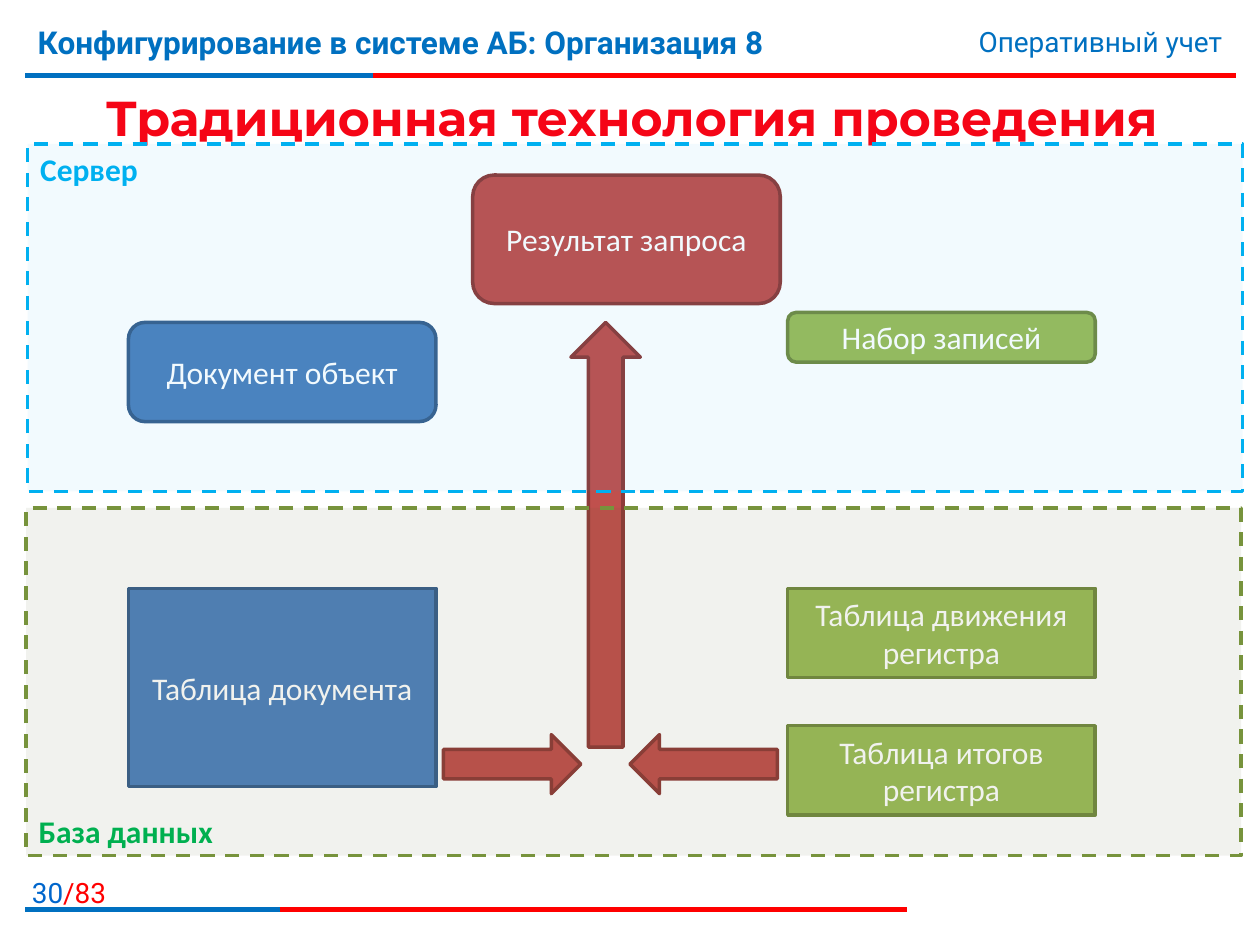
from pptx import Presentation
from pptx.dml.color import RGBColor
from pptx.enum import dml, shapes, text
from pptx.oxml import ns
from pptx.util import Cm, Pt
from lxml import etree

COLORS = {
    "blue": "0070C0", "page": "0066CC", "red": "FF0000", "title": "F50516",
    "white": "FFFFFF", "document": "4F81BD", "document_edge": "3A5F8C",
    "query": "C0504D", "query_edge": "8E3B39",
    "register": "9BBB59", "register_edge": "738A42",
    "server": "00B0F0", "server_edge": "00B0F0",
    "database": "4F6228", "database_edge": "77933C", "database_label": "00B050",
}
KIND = shapes.MSO_SHAPE
ALIGN = text.PP_ALIGN
ANCHOR = text.MSO_ANCHOR


def rgb(name):
    return RGBColor.from_string(COLORS[name])


def write(frame, runs, size, font, align, anchor, bold=False):
    frame.word_wrap = True
    frame.vertical_anchor = anchor
    paragraph = frame.paragraphs[0]
    paragraph.alignment = align
    paragraph.font.size = Pt(size)
    paragraph.font.name = font
    paragraph.font.bold = bold
    for words, color in runs:
        run = paragraph.add_run()
        run.text = words
        run.font.color.rgb = rgb(color)


deck = Presentation()
deck.slide_width, deck.slide_height = Cm(25.4), Cm(19.05)
slide = deck.slides.add_slide(deck.slide_layouts[6])

for y, red_end, blue_end in [(1.52, 24.92, 7.52), (18.34, 18.29, 5.64)]:
    for end, color in [(red_end, "red"), (blue_end, "blue")]:
        rule = slide.shapes.add_connector(
            shapes.MSO_CONNECTOR.STRAIGHT, Cm(0.51), Cm(y), Cm(end), Cm(y))
        rule.line.color.rgb = rgb(color)
        rule.line.width = Pt(3)
        etree.SubElement(rule._element.spPr, ns.qn("a:effectLst"))

captions = [
    (-0.25, 17.53, 2.64, 0.81, [("30", "page"), ("/83", "red")],
     16, "Roboto", ALIGN.RIGHT, ANCHOR.TOP, False),
    (0.51, 0.33, 18.8, 1.57, [("Конфигурирование в системе АБ: Организация 8", "blue")],
     18, "Roboto", ALIGN.LEFT, ANCHOR.TOP, True),
    (15.09, 0.38, 9.8, 0.94, [("Оперативный учет", "blue")],
     16, "Roboto", ALIGN.RIGHT, ANCHOR.TOP, False),
    (0.53, 1.6, 24.41, 1.52, [("Традиционная технология проведения", "title")],
     28, "Montserrat", ALIGN.CENTER, ANCHOR.MIDDLE, True),
]
for left, top, width, height, *style in captions:
    caption = slide.shapes.add_textbox(Cm(left), Cm(top), Cm(width), Cm(height))
    write(caption.text_frame, *style)

document_x, result_x, register_x, block_width = 2.59, 9.53, 15.88, 6.2
blocks = [
    (KIND.ROUNDED_RECTANGLE, document_x, 6.5, block_width, 2, "document", "Документ объект"),
    (KIND.RECTANGLE, document_x, 11.86, block_width, 4, "document", "Таблица документа"),
    (KIND.ROUNDED_RECTANGLE, result_x, 3.53, block_width, 2.59, "query", "Результат запроса"),
    (KIND.RIGHT_ARROW, 8.94, 14.81, 2.77, 1.19, "query", ""),
    (KIND.LEFT_ARROW, 12.7, 14.81, 2.97, 1.19, "query", ""),
    (KIND.UP_ARROW, 11.51, 6.5, 1.4, 8.56, "query", ""),
    (KIND.RECTANGLE, register_x, 11.86, block_width, 1.8, "register", "Таблица движения регистра"),
    (KIND.ROUNDED_RECTANGLE, register_x, 6.3, block_width, 1, "register", "Набор записей"),
    (KIND.RECTANGLE, register_x, 14.63, block_width, 1.8, "register", "Таблица итогов регистра"),
    (KIND.RECTANGLE, 0.56, 2.9, 24.49, 7.01, "server", "Сервер"),
    (KIND.RECTANGLE, 0.53, 10.24, 24.49, 7.01, "database", "База данных"),
]
zones = {
    "server": (5, "server", ANCHOR.TOP),
    "database": (8, "database_label", ANCHOR.BOTTOM),
}
for kind, left, top, width, height, role, label in blocks:
    block = slide.shapes.add_shape(kind, Cm(left), Cm(top), Cm(width), Cm(height))
    block.shadow.inherit = False
    block.fill.solid()
    block.fill.fore_color.rgb = rgb(role)
    block.line.color.rgb = rgb(role + "_edge")
    block.line.width = Pt(2)
    if role in zones:
        opacity, label_color, anchor = zones[role]
        block.line.dash_style = dml.MSO_LINE.DASH
        tint = block._element.spPr.find(ns.qn("a:solidFill"))[0]
        etree.SubElement(tint, ns.qn("a:alpha"), val=str(opacity * 1000))
        write(block.text_frame, [(label, label_color)], 18, "Calibri",
              ALIGN.LEFT, anchor, True)
    elif label:
        write(block.text_frame, [(label, "white")], 18, "Calibri",
              ALIGN.CENTER, ANCHOR.MIDDLE)

deck.save("out.pptx")
